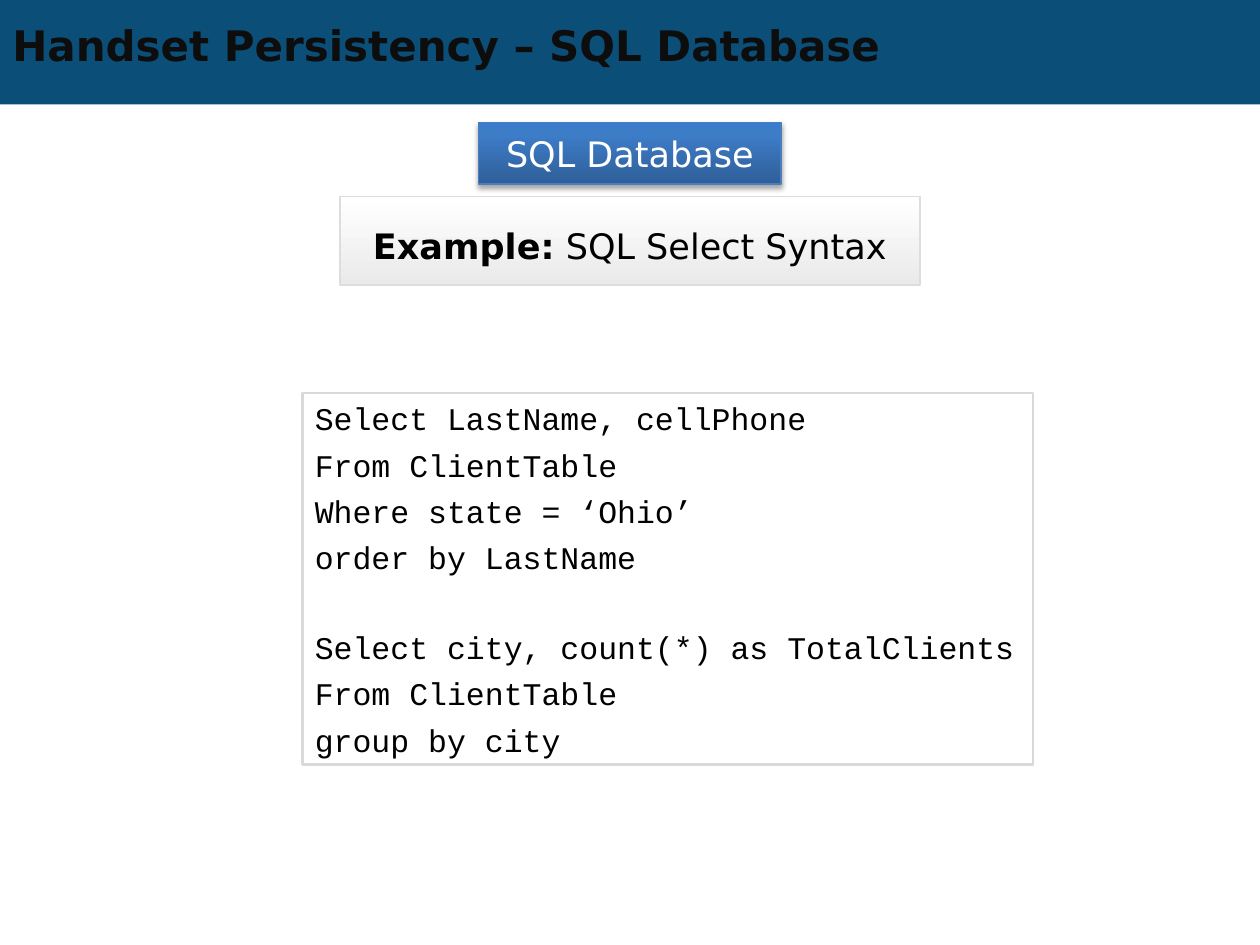
from lxml import etree
from pptx import Presentation
from pptx.dml.color import RGBColor
from pptx.enum.shapes import MSO_SHAPE
from pptx.enum.text import MSO_ANCHOR, PP_ALIGN
from pptx.oxml.ns import qn
from pptx.util import Inches, Pt

RECT = MSO_SHAPE.RECTANGLE
MIDDLE, TOP = MSO_ANCHOR.MIDDLE, MSO_ANCHOR.TOP
LEFT, CENTER = PP_ALIGN.LEFT, PP_ALIGN.CENTER

NAVY = RGBColor(0x0B, 0x4E, 0x78)
INK = RGBColor(0x0D, 0x0D, 0x0D)
BLACK = RGBColor(0, 0, 0)
WHITE = RGBColor(0xFF, 0xFF, 0xFF)
BLUE_EDGE = RGBColor(0x4B, 0x7E, 0xBC)
PALE_EDGE = RGBColor(0xDD, 0xDD, 0xDD)
CODE_EDGE = RGBColor(0xD9, 0xD9, 0xD9)
BLUE_STOPS = [
    (0, RGBColor(0x2F, 0x5F, 0x99)),
    (80, RGBColor(0x3D, 0x7C, 0xC7)),
    (100, RGBColor(0x3A, 0x7C, 0xCB)),
]
PALE_STOPS = [(0, WHITE), (100, RGBColor(0xEA, 0xEA, 0xEA))]

SANS, MONO = "DejaVu Sans", "Courier New"
SLIDE_W, SLIDE_H = 10, 7.5

# Content
TITLE = "Handset Persistency – SQL Database"
TOPIC = "SQL Database"
EXAMPLE = [("Example:", True), (" SQL Select Syntax", False)]
QUERIES = [
    ["Select LastName, cellPhone", "From ClientTable",
     "Where state = ‘Ohio’", "order by LastName"],
    ["Select city, count(*) as TotalClients", "From ClientTable",
     "group by city"],
]
LINE_GAP, QUERY_GAP = 4.8, 30

# Text formats
TITLE_FONT = {"name": SANS, "size": Pt(24), "bold": True}
LABEL_FONT = {"name": SANS, "size": Pt(20)}
CODE_FONT = {"name": MONO, "size": Pt(18)}


def add_box(slide, left, top, width, height, edge=None, edge_width=0):
    box = slide.shapes.add_shape(
        RECT, Inches(left), Inches(top), Inches(width), Inches(height))
    box.shadow.inherit = False
    box.fill.background()
    if edge is None:
        box.line.fill.background()
    else:
        box.line.color.rgb = edge
        box.line.width = Pt(edge_width)
    box.text_frame.word_wrap = True
    return box


def centered(width):
    return (SLIDE_W - width) / 2


def fill_gradient(box, stops, angle):
    box.fill.gradient()
    box.fill.gradient_angle = angle
    stop_list = box.element.spPr.find(".//" + qn("a:gsLst"))
    for old_stop in list(stop_list):
        stop_list.remove(old_stop)
    for share, color in stops:
        stop = etree.SubElement(stop_list, qn("a:gs"), pos=str(share * 1000))
        etree.SubElement(stop, qn("a:srgbClr"), val=str(color))


def add_shadow(box, blur, distance, opacity):
    effects = box.element.spPr.find(qn("a:effectLst"))
    shadow = etree.SubElement(
        effects, qn("a:outerShdw"), blurRad=str(Pt(blur)),
        dist=str(Pt(distance)), dir="5400000", rotWithShape="0")
    color = etree.SubElement(shadow, qn("a:srgbClr"), val=str(BLACK))
    etree.SubElement(color, qn("a:alpha"), val=str(opacity * 1000))


def write(paragraph, pieces, font_format, color, align):
    paragraph.alignment = align
    for words, bold in pieces:
        run = paragraph.add_run()
        run.text = words
        for key, value in {"bold": bold, **font_format}.items():
            setattr(run.font, key, value)
        run.font.color.rgb = color


def main():
    deck = Presentation()
    deck.slide_width, deck.slide_height = Inches(SLIDE_W), Inches(SLIDE_H)
    slide = deck.slides.add_slide(deck.slide_layouts[6])

    # Title band
    band = add_box(slide, 0, 0, SLIDE_W, 0.83)
    band.fill.solid()
    band.fill.fore_color.rgb = NAVY
    title = slide.shapes.add_textbox(0, Inches(0.14), Inches(9), Inches(0.43))
    title.text_frame.word_wrap = True
    title.text_frame.vertical_anchor = MIDDLE
    write(title.text_frame.paragraphs[0], [(TITLE, True)], TITLE_FONT, INK, LEFT)

    # Topic label
    topic = add_box(slide, centered(2.4), 0.97, 2.4, 0.49, BLUE_EDGE, 0.75)
    fill_gradient(topic, BLUE_STOPS, 90)
    add_shadow(topic, blur=3.1, distance=1.8, opacity=35)
    topic.text_frame.vertical_anchor = MIDDLE
    write(topic.text_frame.paragraphs[0], [(TOPIC, False)], LABEL_FONT, WHITE, CENTER)

    # Example heading
    example = add_box(slide, centered(4.6), 1.56, 4.6, 0.7, PALE_EDGE, 1)
    fill_gradient(example, PALE_STOPS, 270)
    example.text_frame.vertical_anchor = MIDDLE
    heading = example.text_frame.paragraphs[0]
    heading.line_spacing = Pt(30)
    write(heading, EXAMPLE, LABEL_FONT, BLACK, CENTER)

    # Queries, set apart by a wider space
    code = add_box(slide, 2.4, 3.12, 5.8, 2.95, CODE_EDGE, 1.5).text_frame
    code.vertical_anchor = TOP
    for query_no, query in enumerate(QUERIES):
        for line_no, line in enumerate(query):
            if query_no == line_no == 0:
                paragraph = code.paragraphs[0]
            else:
                paragraph = code.add_paragraph()
                paragraph.space_before = Pt(LINE_GAP if line_no else QUERY_GAP)
            write(paragraph, [(line, False)], CODE_FONT, BLACK, LEFT)

    deck.save("out.pptx")


if __name__ == "__main__":
    main()
